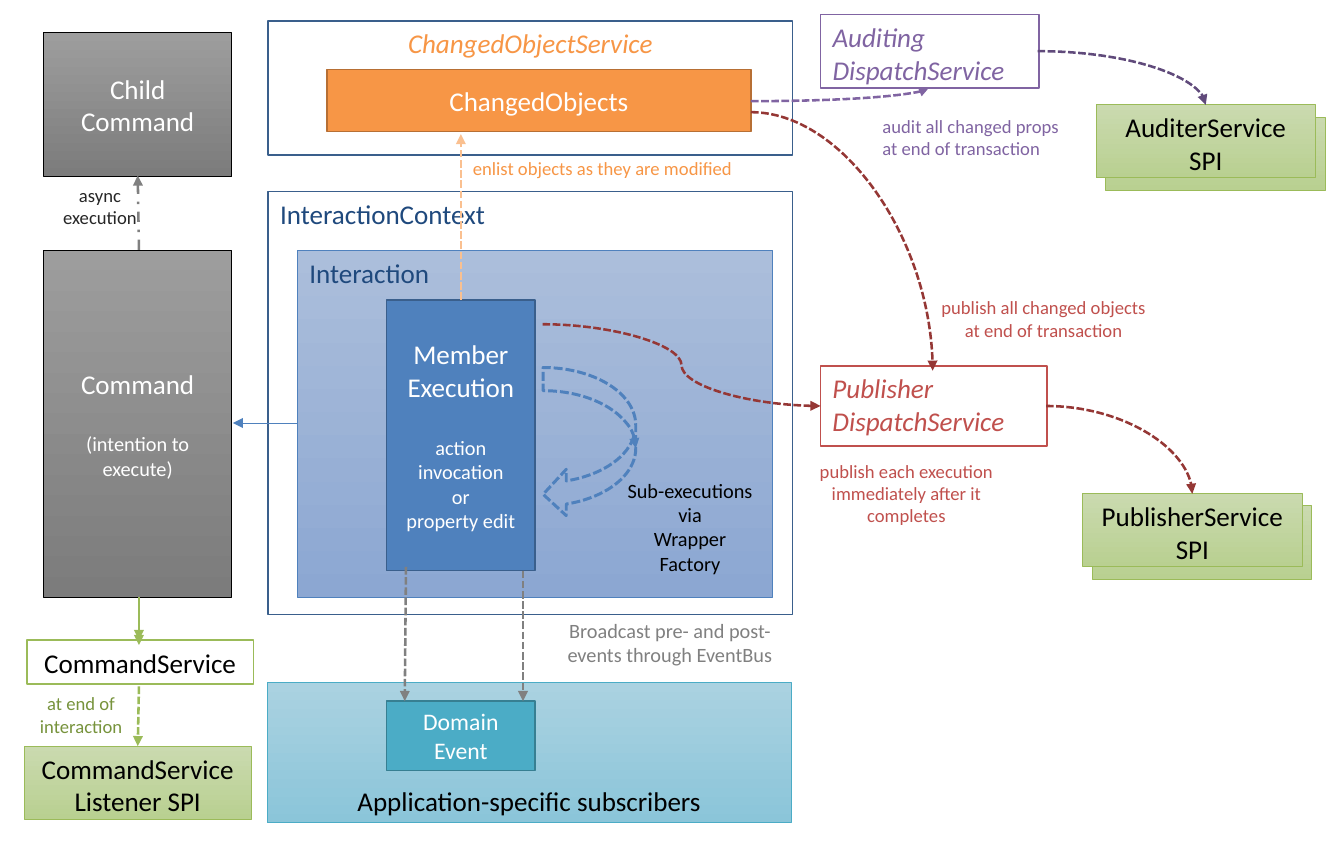
from lxml.etree import SubElement
from pptx import Presentation
from pptx.dml.color import RGBColor
from pptx.enum.dml import MSO_LINE
from pptx.enum.shapes import MSO_CONNECTOR, MSO_SHAPE
from pptx.enum.text import MSO_ANCHOR, MSO_AUTO_SIZE, PP_ALIGN
from pptx.oxml.ns import qn
from pptx.util import Cm, Inches, Pt

BLACK, WHITE = RGBColor(0, 0, 0), RGBColor(255, 255, 255)
INK, GRAY = RGBColor(0x26, 0x26, 0x26), RGBColor(0x80, 0x80, 0x80)
NAVY, BLUE, BLUE_EDGE = RGBColor(0x1F, 0x49, 0x7D), RGBColor(0x4F, 0x81, 0xBD), RGBColor(0x3A, 0x5F, 0x8C)
TEAL, TEAL_EDGE = RGBColor(0x4B, 0xAC, 0xC6), RGBColor(0x37, 0x7F, 0x92)
ORANGE, ORANGE_EDGE = RGBColor(0xF7, 0x96, 0x46), RGBColor(0xB7, 0x6F, 0x34)
PEACH = RGBColor(0xFA, 0xC0, 0x90)
RED, DARK_RED = RGBColor(0xC0, 0x50, 0x4D), RGBColor(0x95, 0x37, 0x35)
PURPLE, DARK_PURPLE = RGBColor(0x80, 0x64, 0xA2), RGBColor(0x60, 0x4A, 0x7B)
GREEN, DARK_GREEN = RGBColor(0x9B, 0xBB, 0x59), RGBColor(0x77, 0x93, 0x3C)
GREEN_FADE = (RGBColor(0xCA, 0xDA, 0xAF), RGBColor(0xB9, 0xD0, 0x91))
TEAL_FADE = (RGBColor(0xAA, 0xD2, 0xE1), RGBColor(0x8B, 0xC5, 0xD9))
BLUE_FADE = (RGBColor(0xAB, 0xBE, 0xDB), RGBColor(0x8C, 0xA7, 0xD2))
GRAY_FADE = (RGBColor(0x9D, 0x9D, 0x9D), RGBColor(0x7C, 0x7C, 0x7C))
L, C = PP_ALIGN.LEFT, PP_ALIGN.CENTER
TOP, MID, LOW = MSO_ANCHOR.TOP, MSO_ANCHOR.MIDDLE, MSO_ANCHOR.BOTTOM

# Columns and rows shared by the blocks
COMMAND_X, COMMAND_W, COMMAND_MID = 0.36, 1.54, 1.14
CONTEXT_X, CONTEXT_W = 2.2, 4.3
INTERACTION_X, INTERACTION_Y, INTERACTION_H = 2.44, 2.05, 2.85
MEMBER_X, MEMBER_W, MEMBER_MID = 3.17, 1.22, 3.78
DISPATCH_X, SPI_W, SPI_H = 6.73, 1.8, 0.6
EVENT_Y = 5.75

prs = Presentation()
prs.slide_width, prs.slide_height = Cm(28), Cm(18)
s = prs.slides.add_slide(prs.slide_layouts[6])


def write(tf, text, size, color, align, italic=False, detail=""):
    """Fill a text frame, with an optional smaller detail set apart below."""
    tf.text = text + ("\n" + detail if detail else "")
    heading_count = len(text.split("\n"))
    for i, p in enumerate(tf.paragraphs):
        p.alignment = align
        points = size if i < heading_count else 12
        if detail and i == heading_count:
            p.space_before = Pt(19)
        for r in p.runs:
            r.font.name, r.font.italic = "Calibri", italic
            r.font.size = Pt(points)
            r.font.color.rgb = color
        for br in p._p.findall(qn("a:br")):
            SubElement(br, qn("a:rPr")).set("sz", str(points * 100))


def outline(sp, fill, edge, width):
    """Give a shape its line and a plain, graded or absent fill."""
    sp.shadow.inherit = False
    sp.line.color.rgb, sp.line.width = edge, Pt(width)
    if fill is None:
        sp.fill.background()
    elif isinstance(fill, RGBColor):
        sp.fill.solid()
        sp.fill.fore_color.rgb = fill
    else:
        sp.fill.gradient()
        sp.fill.gradient_angle = 270
        for stop, color in zip(sp.fill.gradient_stops, fill):
            stop.color.rgb = color


# Left, top, width, height, fill, edge, edge width, text, size, colour, align, anchor, italic, detail
boxes = [
    (2.19, 5.6, CONTEXT_W, 1.15, TEAL_FADE, TEAL, 0.5,
     "Application-specific subscribers", 16, BLACK, C, LOW, False, ""),
    (INTERACTION_X, INTERACTION_Y, 3.9, INTERACTION_H, BLUE_FADE, BLUE, 0.5,
     "Interaction", 16, NAVY, L, TOP, False, ""),
    (COMMAND_X, INTERACTION_Y, COMMAND_W, INTERACTION_H, GRAY_FADE, BLACK, 0.5,
     "Command", 16, WHITE, C, MID, False, "(intention to execute)"),
    (COMMAND_X, 0.27, COMMAND_W, 1.18, GRAY_FADE, BLACK, 0.5,
     "Child\vCommand", 16, WHITE, C, MID, False, ""),
    (MEMBER_X, 2.46, MEMBER_W, 2.22, BLUE, BLUE_EDGE, 1, "Member\vExecution", 16, WHITE, C, MID, False,
     "action invocation\vor\vproperty edit"),
    (MEMBER_X, EVENT_Y, MEMBER_W, 0.57, TEAL, TEAL_EDGE, 1, "Domain\nEvent", 14, WHITE, C, MID, False, ""),
    (CONTEXT_X, 0.17, CONTEXT_W, 1.1, None, BLUE_EDGE, 1,
     "ChangedObjectService", 16, ORANGE, C, TOP, True, ""),
    (2.68, 0.57, 3.48, 0.51, ORANGE, ORANGE_EDGE, 1, "ChangedObjects", 16, WHITE, C, MID, False, ""),
    (CONTEXT_X, 1.57, CONTEXT_W, 3.47, None, BLUE_EDGE, 1,
     "InteractionContext", 16, NAVY, L, TOP, False, ""),
    (DISPATCH_X, 3, 1.86, 0.66, WHITE, RED, 1, "Publisher\vDispatchService", 16, RED, L, TOP, True, ""),
    (DISPATCH_X, 0.12, 1.79, 0.6, WHITE, PURPLE, 1, "Auditing\vDispatchService", 16, PURPLE, L, TOP, True, ""),
    (0.22, 5.25, 1.86, 0.36, WHITE, GREEN, 1, "CommandService", 16, BLACK, C, TOP, False, ""),
    (0.2, 6.12, 1.86, SPI_H, GREEN_FADE, GREEN, 0.5,
     "CommandServiceListener SPI", 16, BLACK, C, TOP, False, ""),
]
# Each pluggable service is a stack of two cards
for name, x, y in (("PublisherService", 8.88, 4.05), ("AuditerService", 8.99, 0.86)):
    for text, right, down in (("", 0.08, 0.1), (name + "\nSPI", 0, 0)):
        boxes.append((x + right, y + down, SPI_W, SPI_H, GREEN_FADE, GREEN, 0.5,
                      text, 16, BLACK, C, TOP, False, ""))

for x, y, w, h, fill, edge, width, text, size, color, align, anchor, italic, detail in boxes:
    sp = s.shapes.add_shape(MSO_SHAPE.RECTANGLE, Inches(x), Inches(y), Inches(w), Inches(h))
    outline(sp, fill, edge, width)
    if text:
        sp.text_frame.vertical_anchor = anchor
        write(sp.text_frame, text, size, color, align, italic, detail)

# Loop of sub-executions
sp = s.shapes.add_shape(MSO_SHAPE.CURVED_UP_ARROW, Inches(4.22), Inches(3.25), Inches(1.23), Inches(0.76))
outline(sp, None, BLUE, 1.75)
sp.line.dash_style = MSO_LINE.SQUARE_DOT
sp.rotation = 90
sp._element.spPr.find(qn("a:xfrm")).set("flipV", "1")
SubElement(sp._element.spPr.find(qn("a:ln")), qn("a:tailEnd")).set("type", "triangle")

# Start, end, colour, width, dash, geometry
DASH = MSO_LINE.SQUARE_DOT
STRAIGHT, QUARTER, WAVE = "line", "curvedConnector2", "curvedConnector3"
arrows = [
    (3.33, 4.65, 3.32, EVENT_Y, GRAY, 1.5, DASH, STRAIGHT),
    (4.29, 4.68, 4.29, EVENT_Y, GRAY, 1.5, DASH, STRAIGHT),
    (MEMBER_MID, 2.46, MEMBER_MID, 1.1, PEACH, 1.5, DASH, STRAIGHT),
    (INTERACTION_X, 3.47, 1.91, 3.47, BLUE, 0.5, None, STRAIGHT),
    (COMMAND_MID, 4.9, COMMAND_MID, 5.25, GREEN, 1.5, DASH, STRAIGHT),
    (COMMAND_MID, 4.94, COMMAND_MID, 5.29, GREEN, 1.5, DASH, STRAIGHT),
    (COMMAND_MID, 5.63, 1.13, 6.12, GREEN, 1.5, DASH, STRAIGHT),
    (COMMAND_MID, 2.05, 1.13, 1.44, GRAY, 1.5, MSO_LINE.DASH_DOT, STRAIGHT),
    (4.45, 2.66, DISPATCH_X, 3.33, DARK_RED, 1.5, DASH, WAVE),
    (6.16, 0.92, 7.65, 3.04, DARK_RED, 1.5, DASH, QUARTER),
    (6.16, 0.83, 7.62, 0.72, PURPLE, 1.5, DASH, QUARTER),
    (8.58, 3.33, 9.78, 4.05, DARK_RED, 1.5, DASH, QUARTER),
    (8.51, 0.42, 9.89, 0.86, DARK_PURPLE, 1.5, DASH, QUARTER),
]
for x1, y1, x2, y2, color, width, dash, geometry in arrows:
    kind = MSO_CONNECTOR.STRAIGHT if geometry == STRAIGHT else MSO_CONNECTOR.CURVE
    cx = s.shapes.add_connector(kind, Inches(x1), Inches(y1), Inches(x2), Inches(y2))
    cx.line.color.rgb, cx.line.width = color, Pt(width)
    if dash:
        cx.line.dash_style = dash
    spPr = cx._element.spPr
    spPr.find(qn("a:prstGeom")).set("prst", geometry)
    SubElement(spPr.find(qn("a:ln")), qn("a:tailEnd")).set("type", "triangle")
    SubElement(spPr, qn("a:effectLst"))

# Left, top, width, height, text, size, colour, align, wrap
labels = [
    (MEMBER_MID, 1.24, 2.34, 0.29, "enlist objects as they are modified", 11, ORANGE, L, False),
    (6.62, 3.72, 1.63, 0.66, "publish each execution\vimmediately after it\ncompletes", 11, RED, C, False),
    (7.62, 2.38, 1.88, 0.47, "publish all changed objects\vat end of transaction", 11, RED, C, False),
    (7.14, 0.89, 1.66, 0.47, "audit all changed props\vat end of transaction", 11, PURPLE, L, False),
    (4.42, 5.02, 2.15, 0.5, "Broadcast pre- and post- events through EventBus", 12, GRAY, C, True),
    (0.22, 5.63, 0.89, 0.47, "at end of\vinteraction", 11, DARK_GREEN, C, False),
    (5.04, 3.87, 1.24, 0.91, "Sub-executions\vvia\vWrapper\vFactory", 12, BLACK, C, False),
    (0.41, 1.46, 0.82, 0.47, "async\vexecution", 11, INK, C, False),
]
for x, y, w, h, text, size, color, align, wrap in labels:
    tf = s.shapes.add_textbox(Inches(x), Inches(y), Inches(w), Inches(h)).text_frame
    tf.word_wrap, tf.auto_size = wrap, MSO_AUTO_SIZE.SHAPE_TO_FIT_TEXT
    write(tf, text, size, color, align)

prs.save("out.pptx")
